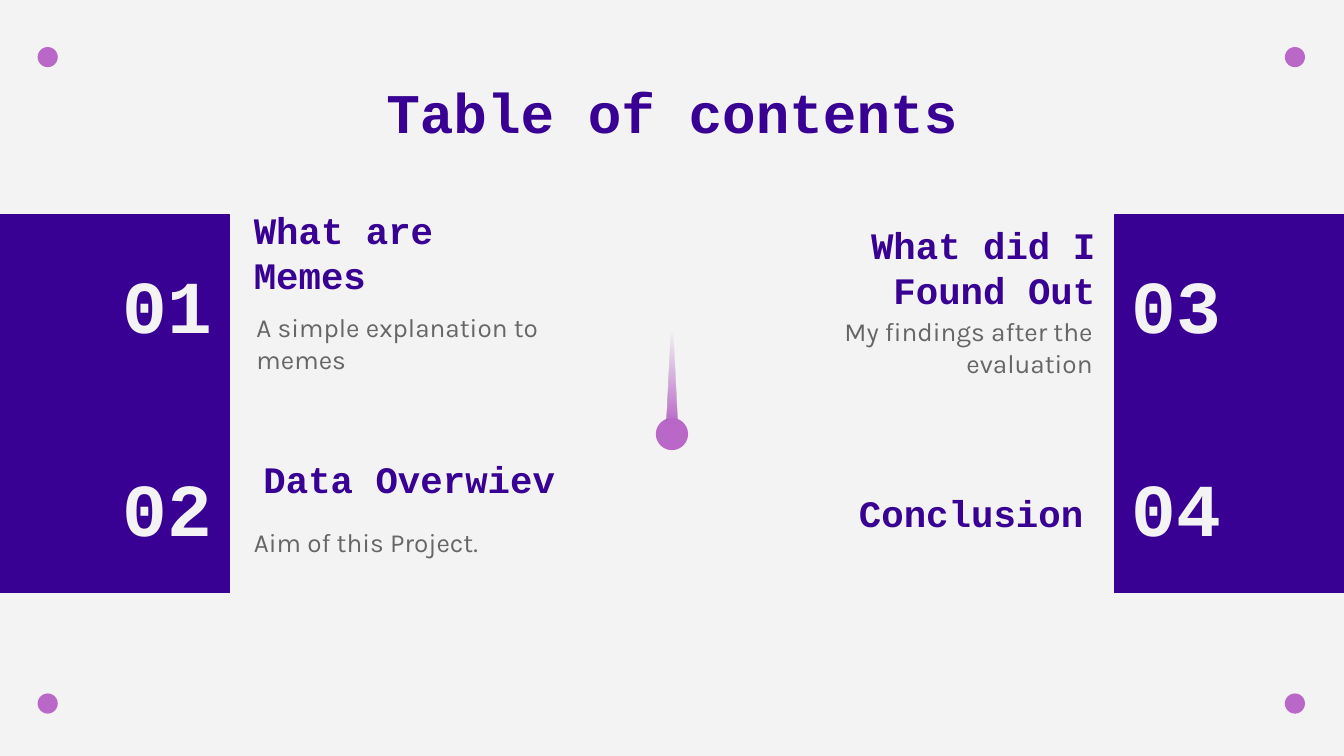
from lxml import etree
from pptx import Presentation
from pptx.dml.color import RGBColor as RGB
from pptx.enum.shapes import MSO_SHAPE as SHAPE
from pptx.enum.text import MSO_ANCHOR as ANCHOR, MSO_AUTO_SIZE as FIT, PP_ALIGN as ALIGN
from pptx.oxml.ns import qn
from pptx.util import Inches, Pt

HEX = {"back": "F3F3F3", "deep": "380093", "pink": "BA68C8", "gray": "666666"}
MONO, SANS = "Courier New", "Karla"
LEFT, RIGHT, MID = ALIGN.LEFT, ALIGN.RIGHT, ALIGN.CENTER

BANDS = [
    (0, 0.78, [("01", 1.98), ("02", 3.49)]),
    (8.29, 0, [("03", 1.98), ("04", 3.49)]),
]
HEADS = [
    ("What are Memes", 1.79, 1.64, LEFT),
    ("Data Overwiev", 1.79, 3.16, RIGHT),
    ("What did I Found Out", 5.81, 1.75, RIGHT),
    ("Conclusion", 5.72, 3.41, RIGHT),
]
NOTES = [
    ("A simple explanation to memes", 1.81, 2.22, LEFT),
    ("Aim of this Project.", 1.79, 3.82, LEFT),
    ("My findings after the evaluation", 5.79, 2.25, RIGHT),
]


def color(name):
    return RGB.from_string(HEX[name])


def place(box):
    return [Inches(v) for v in box]


def write(shape, text, size, font, tint, align, anchor, bold=True, top=0.1):
    frame = shape.text_frame
    frame.text = text
    frame.word_wrap = True
    frame.auto_size = FIT.NONE
    frame.vertical_anchor = anchor
    frame.margin_left = frame.margin_right = frame.margin_bottom = Inches(0.1)
    frame.margin_top = Inches(top)
    para = frame.paragraphs[0]
    para.alignment = align
    face = para.runs[0].font
    face.size, face.name, face.bold = Pt(size), font, bold
    face.color.rgb = color(tint)


def add_solid(slide, kind, box, tint):
    shape = slide.shapes.add_shape(kind, *place(box))
    shape.shadow.inherit = False
    shape.fill.solid()
    shape.fill.fore_color.rgb = color(tint)
    shape.line.fill.background()
    return shape


def add_dots(slide, box, size=0.15):
    left, top, width, height = box
    for x in (left, left + width - size):
        for y in (top, top + height - size):
            add_solid(slide, SHAPE.OVAL, (x, y, size, size), "pink")


def add_title(slide, box):
    title = slide.shapes.title
    title.left, title.top, title.width, title.height = place(box)
    write(title, "Table of contents", 30, MONO, "deep", MID, ANCHOR.BOTTOM)


def add_band(slide, box, shift, marks):
    band = add_solid(slide, SHAPE.RECTANGLE, box, "deep")
    band.line.color.rgb = color("deep")
    band.line.width = Pt(0.75)
    for mark, top in marks:
        cell = add_solid(slide, SHAPE.RECTANGLE, (box[0] + shift, top, 0.93, 0.56), "deep")
        write(cell, mark, 40, MONO, "back", MID, ANCHOR.MIDDLE)


def add_head(slide, box, text, align):
    head = slide.shapes.add_textbox(*place(box))
    write(head, text, 20, MONO, "deep", align, ANCHOR.BOTTOM, top=0)


def add_note(slide, box, text, align):
    note = slide.shapes.add_textbox(*place(box))
    write(note, text, 14, SANS, "gray", align, ANCHOR.TOP, bold=False)


def fade(shape, tint):
    shape.fill.gradient()
    shape.fill.gradient_angle = 90
    stops = next(shape.element.iter(qn("a:gsLst")))
    for stop in list(stops):
        stops.remove(stop)
    for pos, alpha in ((0, 100), (80, 0), (100, 0)):
        stop = etree.SubElement(stops, qn("a:gs"), pos=str(pos * 1000))
        rgb = etree.SubElement(stop, qn("a:srgbClr"), val=HEX[tint])
        etree.SubElement(rgb, qn("a:alpha"), val=str(alpha * 1000))


def add_drop(slide, box):
    left, top, width, height = box
    add_solid(slide, SHAPE.OVAL, (left, top + height - width, width, width), "pink")
    tail = add_solid(slide, SHAPE.ISOSCELES_TRIANGLE, (left + 0.08, top, 0.08, 0.87), "pink")
    fade(tail, "pink")


def main():
    deck = Presentation()
    deck.slide_width, deck.slide_height = Inches(10), Inches(10 * 9 / 16)
    slide = deck.slides.add_slide(deck.slide_layouts[5])
    slide.background.fill.solid()
    slide.background.fill.fore_color.rgb = color("back")
    add_dots(slide, (0.28, 0.35, 9.43, 4.96))
    add_title(slide, (0.78, 0.59, 8.44, 0.59))
    for left, shift, marks in BANDS:
        add_band(slide, (left, 1.6, 1.71, 2.81), shift, marks)
    for text, left, top, align in HEADS:
        add_head(slide, (left, top, 2.44, 0.67), text, align)
    for text, left, top, align in NOTES:
        add_note(slide, (left, top, 2.44, 0.56), text, align)
    add_drop(slide, (4.88, 2.29, 0.24, 1.06))
    deck.save("out.pptx")


if __name__ == "__main__":
    main()
